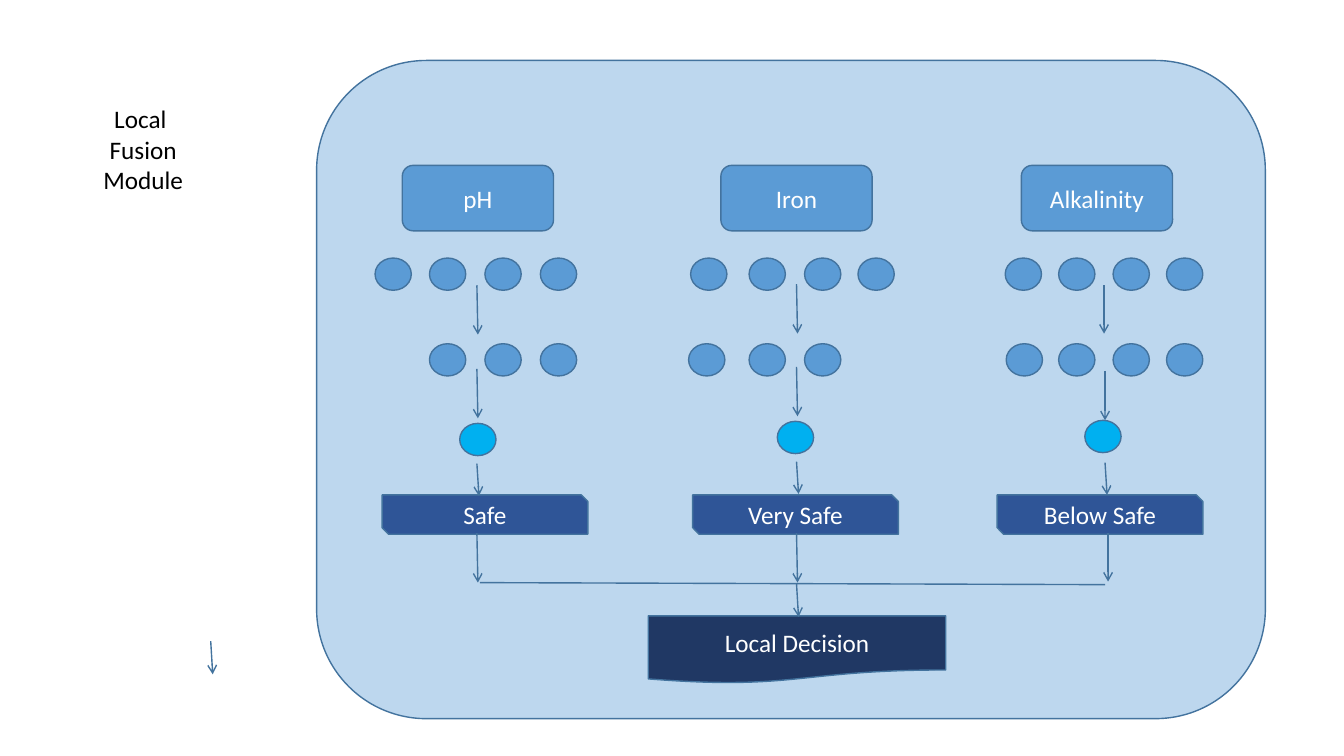
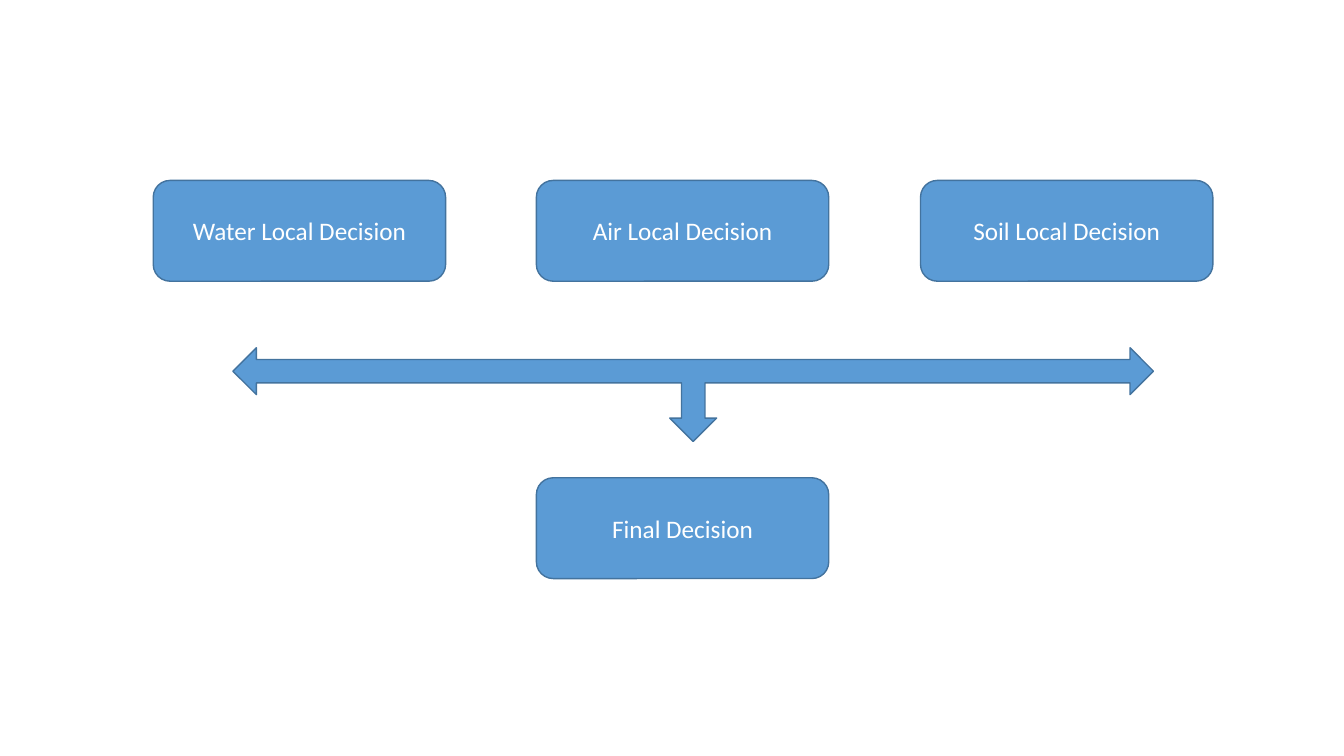
"""Build two slides showing local and final decision fusion."""
import dataclasses

import pptx
import pptx.dml.color
import pptx.enum.shapes
import pptx.enum.text
import pptx.oxml.ns
import pptx.util
from lxml import etree

Inches = pptx.util.Inches
Color = pptx.dml.color.RGBColor.from_string
Shapes = pptx.enum.shapes.MSO_SHAPE


@dataclasses.dataclass(frozen=True)
class Theme:
    panel: str = "BDD7EE"
    box: str = "5B9BD5"
    outline: str = "43739E"
    result: str = "00B0F0"
    verdict: str = "2F5597"
    decision: str = "203864"
    light: str = "FFFFFF"
    dark: str = "000000"
    font: str = "Calibri"
    text_size: int = 18
    line_width: int = 1


theme = Theme()


def add_box(slide, kind, left, top, width, height, fill, lines=(), color=theme.light):
    position = [Inches(value) for value in (left, top, width, height)]
    if kind is None:
        shape = slide.shapes.add_textbox(*position)
    else:
        shape = slide.shapes.add_shape(kind, *position)
        shape.shadow.inherit = False
        shape.fill.solid()
        shape.fill.fore_color.rgb = Color(fill)
        shape.line.color.rgb = Color(theme.outline)
        shape.line.width = pptx.util.Pt(theme.line_width)
        shape.text_frame.vertical_anchor = pptx.enum.text.MSO_ANCHOR.MIDDLE
    frame = shape.text_frame
    frame.word_wrap = True
    for index, line in enumerate(lines):
        paragraph = frame.add_paragraph() if index else frame.paragraphs[0]
        paragraph.alignment = pptx.enum.text.PP_ALIGN.CENTER
        run = paragraph.add_run()
        run.text = line
        run.font.name = theme.font
        run.font.size = pptx.util.Pt(theme.text_size)
        run.font.color.rgb = Color(color)
    return shape


def add_line(slide, start_x, start_y, end_x, end_y, arrow=True):
    connector = slide.shapes.add_connector(
        pptx.enum.shapes.MSO_CONNECTOR.STRAIGHT,
        Inches(start_x), Inches(start_y), Inches(end_x), Inches(end_y))
    connector.line.color.rgb = Color(theme.outline)
    connector.line.width = pptx.util.Pt(theme.line_width)
    if arrow:
        line = connector.line._get_or_add_ln()
        etree.SubElement(line, pptx.oxml.ns.qn("a:tailEnd"), type="arrow")
    etree.SubElement(connector._element.spPr, pptx.oxml.ns.qn("a:effectLst"))


presentation = pptx.Presentation()
presentation.slide_width = Inches(13.33)
presentation.slide_height = Inches(7.5)
blank = presentation.slide_layouts[6]

local_slide = presentation.slides.add_slide(blank)
add_box(local_slide, Shapes.ROUNDED_RECTANGLE, 3.14, 0.6, 9.41, 6.53, theme.panel)
add_box(local_slide, None, -0.08, 0.98, 3, 1.31, None,
        ("Local ", "Fusion", "Module"), theme.dark)

circle_size = (0.36, 0.32)
indicators = [
    dict(name="pH", name_left=3.99, verdict="Safe", verdict_left=3.79,
         readings=(3.72, 4.26, 4.81, 5.36), kept=(4.26, 4.81, 5.36), result=(4.56, 4.2),
         arrows=((4.73, 2.83, 4.74, 3.32), (4.73, 3.66, 4.74, 4.15),
                 (4.73, 4.6, 4.75, 4.92), (4.73, 5.29, 4.74, 5.78))),
    dict(name="Iron", name_left=7.15, verdict="Very Safe", verdict_left=6.87,
         readings=(6.85, 7.43, 7.98, 8.51), kept=(6.83, 7.43, 7.98), result=(7.71, 4.18),
         arrows=((7.9, 2.82, 7.91, 3.31), (7.9, 3.64, 7.91, 4.13),
                 (7.9, 4.58, 7.92, 4.9), (7.9, 5.29, 7.91, 5.78))),
    dict(name="Alkalinity", name_left=10.13, verdict="Below Safe", verdict_left=9.89,
         readings=(9.97, 10.5, 11.04, 11.57), kept=(9.98, 10.5, 11.04, 11.57),
         result=(10.76, 4.17),
         arrows=((10.95, 2.83, 10.95, 3.31), (10.96, 3.68, 10.96, 4.17),
                 (10.96, 4.59, 10.98, 4.91), (10.99, 5.29, 10.99, 5.77))),
]
for indicator in indicators:
    add_box(local_slide, Shapes.ROUNDED_RECTANGLE, indicator["name_left"], 1.64, 1.5, 0.65,
            theme.box, [indicator["name"]])
    for row, top in (("readings", 2.56), ("kept", 3.41)):
        for left in indicator[row]:
            add_box(local_slide, Shapes.OVAL, left, top, *circle_size, theme.box)
    add_box(local_slide, Shapes.OVAL, *indicator["result"], *circle_size, theme.result)
    add_box(local_slide, Shapes.SNIP_2_DIAG_RECTANGLE, indicator["verdict_left"], 4.91,
            2.04, 0.39, theme.verdict, [indicator["verdict"]])
    for arrow in indicator["arrows"]:
        add_line(local_slide, *arrow)

add_box(local_slide, Shapes.FLOWCHART_DOCUMENT, 6.43, 6.11, 2.95, 0.67,
        theme.decision, ["Local Decision"])
add_line(local_slide, 7.9, 5.79, 7.92, 6.12)
add_line(local_slide, 2.09, 6.36, 2.11, 6.69)
add_line(local_slide, 4.76, 5.78, 10.96, 5.8, arrow=False)

final_slide = presentation.slides.add_slide(blank)
decisions = [
    ("Water Local Decision", 1.52, 1.79),
    ("Air Local Decision", 5.32, 1.79),
    ("Soil Local Decision", 9.13, 1.79),
    ("Final Decision", 5.32, 4.74),
]
for label, left, top in decisions:
    add_box(final_slide, Shapes.ROUNDED_RECTANGLE, left, top, 2.9, 1, theme.box, [label])
fusion_arrow = add_box(final_slide, Shapes.LEFT_RIGHT_UP_ARROW, 2.31, 3.45, 9.13, 0.93, theme.box)
fusion_arrow.rotation = 180

presentation.save("out.pptx")
